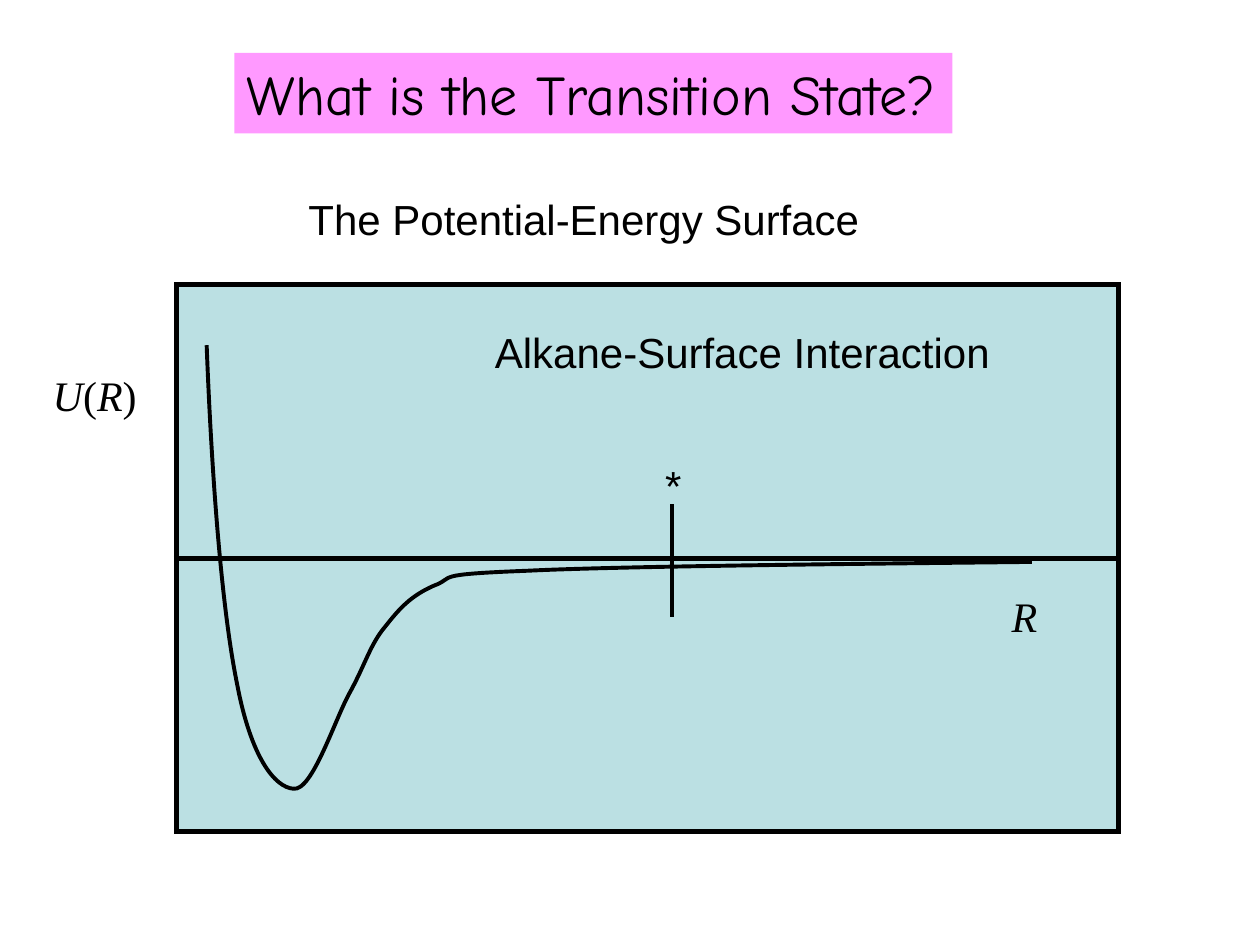
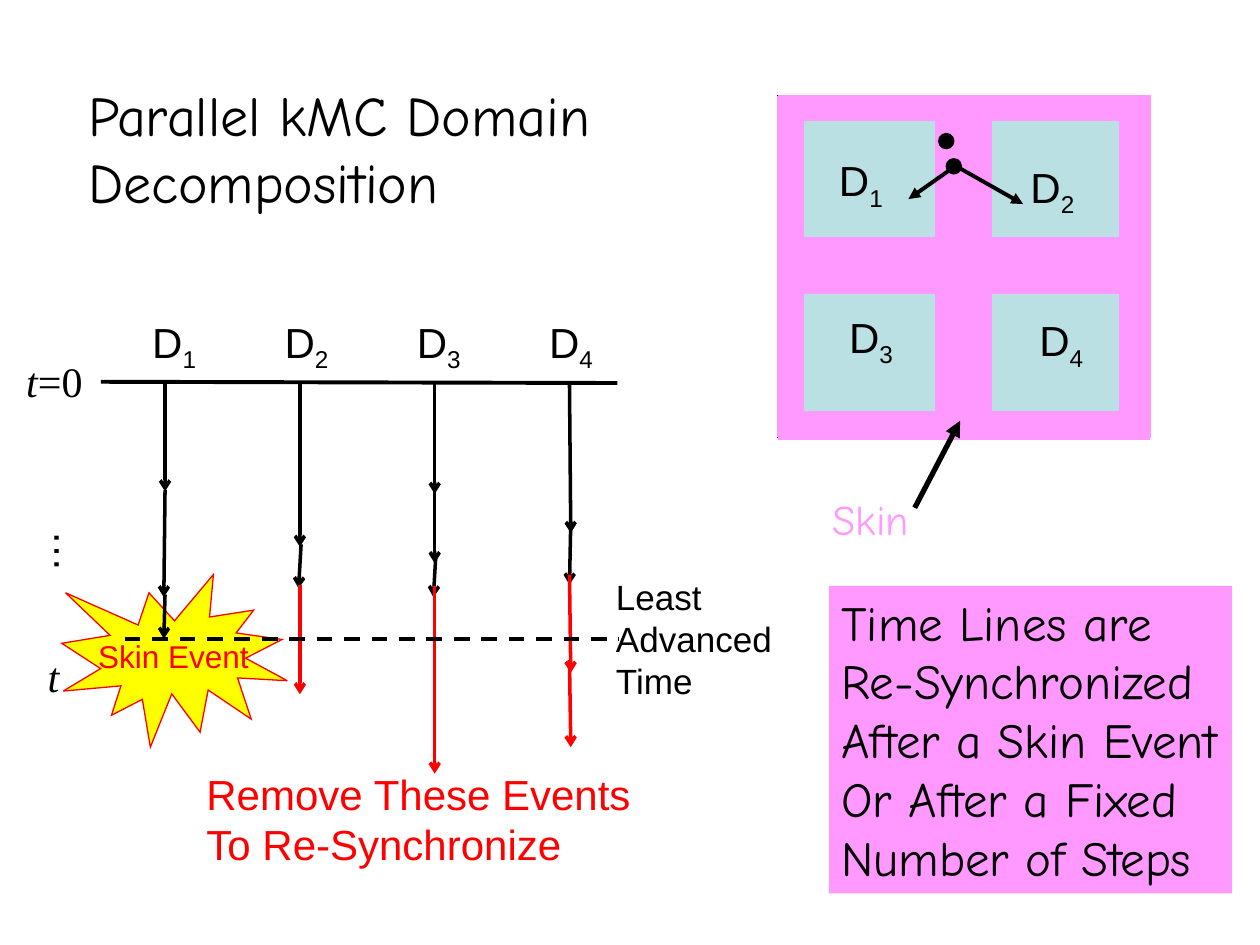
from dataclasses import dataclass
from typing import Optional

from lxml.etree import SubElement
from pptx import Presentation
from pptx.dml.color import RGBColor
from pptx.enum.dml import MSO_LINE_DASH_STYLE as Dash
from pptx.enum.shapes import MSO_CONNECTOR, MSO_SHAPE
from pptx.enum.text import MSO_AUTO_SIZE
from pptx.oxml.ns import qn
from pptx.slide import Slide
from pptx.util import Emu, Pt

PX = 9144
COLORS = {
    "black": "000000",
    "red": "FF0000",
    "yellow": "FFFF00",
    "pink": "FF99FF",
    "teal": "BBE0E3",
}
SANS, COMIC, SERIF = "Arial", "Comic Neue", "Times New Roman"


@dataclass(frozen=True)
class Run:
    """A piece of text with its own slant and baseline."""
    text: str
    italic: bool = False
    subscript: bool = False


@dataclass(frozen=True)
class Label:
    """A text box with one tuple of runs per paragraph."""
    box: tuple[int, int, int, int]
    lines: list[tuple[Run, ...]]
    size: int = 24
    font: str = SANS
    color: str = "black"
    fill: Optional[str] = None
    rotation: int = 0


@dataclass(frozen=True)
class Block:
    """A filled preset shape."""
    box: tuple[int, int, int, int]
    fill: str
    line: str
    width: float = 0.75
    preset: MSO_SHAPE = MSO_SHAPE.RECTANGLE


@dataclass(frozen=True)
class Stroke:
    """A straight line with an optional arrowhead."""
    ends: tuple[int, int, int, int]
    width: float = 2
    color: str = "black"
    head: Optional[str] = None
    dashed: bool = False


def px(value: int) -> Emu:
    """Turn px into EMU."""
    return Emu(value * PX)


def color_of(name: str) -> RGBColor:
    """Look up a named colour."""
    return RGBColor.from_string(COLORS[name])


def plain(*texts: str) -> list[tuple[Run, ...]]:
    """Make one upright paragraph per text."""
    return [(Run(text),) for text in texts]


def domain_label(left: int, top: int, number: int) -> Label:
    """Describe the label of a numbered domain."""
    return Label((left, top, 55, 56), [(Run("D"), Run(str(number), subscript=True))])


def draw_label(slide: Slide, label: Label) -> None:
    """Draw a text box run by run."""
    shape = slide.shapes.add_textbox(*map(px, label.box))
    shape.rotation = label.rotation
    if label.fill:
        shape.fill.solid()
        shape.fill.fore_color.rgb = color_of(label.fill)
    frame = shape.text_frame
    frame.word_wrap = False
    frame.auto_size = MSO_AUTO_SIZE.SHAPE_TO_FIT_TEXT
    for index, line in enumerate(label.lines):
        paragraph = frame.add_paragraph() if index else frame.paragraphs[0]
        for part in line:
            run = paragraph.add_run()
            run.text = part.text
            run.font.name = label.font
            run.font.size = Pt(label.size)
            run.font.italic = part.italic
            run.font.color.rgb = color_of(label.color)
            if part.subscript:
                run._r.get_or_add_rPr().set("baseline", "-25000")


def draw_block(slide: Slide, block: Block) -> None:
    """Draw a filled shape with a sharp-cornered outline."""
    shape = slide.shapes.add_shape(block.preset, *map(px, block.box))
    shape.shadow.inherit = False
    shape.fill.solid()
    shape.fill.fore_color.rgb = color_of(block.fill)
    shape.line.color.rgb = color_of(block.line)
    shape.line.width = Pt(block.width)
    SubElement(shape._element.spPr.find(qn("a:ln")), qn("a:miter"), lim="800000")


def draw_stroke(slide: Slide, stroke: Stroke) -> None:
    """Draw a connector."""
    connector = slide.shapes.add_connector(MSO_CONNECTOR.STRAIGHT, *map(px, stroke.ends))
    connector.line.color.rgb = color_of(stroke.color)
    connector.line.width = Pt(stroke.width)
    if stroke.dashed:
        connector.line.dash_style = Dash.DASH
    properties = connector._element.spPr
    if stroke.head:
        SubElement(properties.find(qn("a:ln")), qn("a:tailEnd"), type=stroke.head)
    SubElement(properties, qn("a:effectLst"))


def draw_curve(slide: Slide, knots: list[tuple[int, int]], width: float) -> None:
    """Draw a chain of cubic segments: a start, then two controls and an end each."""
    start, *rest = knots
    builder = slide.shapes.build_freeform(*start, scale=PX)
    builder.add_line_segments(rest, close=False)
    shape = builder.convert_to_shape()
    shape.shadow.inherit = False
    shape.fill.background()
    shape.line.color.rgb = color_of("black")
    shape.line.width = Pt(width)
    outline = next(shape._element.iter(qn("a:path")))
    lines = outline.findall(qn("a:lnTo"))
    for first in range(0, len(lines), 3):
        cubic = SubElement(outline, qn("a:cubicBezTo"))
        for line in lines[first:first + 3]:
            cubic.append(line[0])
            outline.remove(line)


def draw_all(slide: Slide, items: list) -> None:
    """Draw described elements from back to front."""
    painters = {Label: draw_label, Block: draw_block, Stroke: draw_stroke}
    for item in items:
        painters[type(item)](slide, item)


def build_transition_state(slide: Slide) -> None:
    """Build the potential-energy slide."""
    draw_block(slide, Block((140, 226, 748, 434), "teal", "black", 3))
    draw_curve(slide, [
        (164, 274), (168, 379), (176, 483), (188, 542),
        (199, 601), (218, 625), (233, 626),
        (248, 628), (266, 570), (278, 549),
        (290, 527), (294, 511), (306, 497),
        (317, 483), (326, 473), (344, 465),
        (363, 458), (340, 456), (419, 453),
        (499, 449), (736, 447), (819, 446),
    ], 2.25)
    energy = (Run("U", italic=True), Run("("), Run("R", italic=True), Run(")"))
    draw_all(slide, [
        Stroke((533, 400, 533, 490), 2.25),
        Label((518, 360, 33, 50), plain("*")),
        Label((186, 42, 570, 64), plain("What is the Transition State?"), 32, COMIC, fill="pink"),
        Stroke((138, 443, 890, 443), 3),
        Label((32, 288, 88, 50), [energy], font=SERIF),
        Label((793, 464, 40, 50), [(Run("R", italic=True),)], font=SERIF),
        Label((383, 254, 414, 50), plain("Alkane-Surface Interaction")),
        Label((235, 149, 457, 50), plain("The Potential-Energy Surface")),
    ])


def timeline_strokes(events: list[list[tuple[int, int, int, int]]], color: str) -> list[Stroke]:
    """Place each domain's event arrows on its evenly spaced time line."""
    strokes = []
    for column, arrows in enumerate(events):
        x = 131 + 107 * column
        for start, top, end, bottom in arrows:
            strokes.append(Stroke((x + start, top, x + end, bottom), 2, color, "arrow"))
    return strokes


def draw_timelines(slide: Slide) -> None:
    """Draw the time lines of the four domains."""
    kept_events = [
        [(0, 305, 0, 390), (0, 389, -1, 474), (0, 472, -1, 507)],
        [(0, 305, 0, 434), (1, 432, -1, 467)],
        [(0, 305, 0, 392), (0, 380, 0, 447), (1, 439, -1, 474)],
        [(0, 305, 1, 423), (1, 414, 0, 464)],
    ]
    removed_events = [
        [],
        [(0, 464, 0, 551)],
        [(0, 465, 0, 614)],
        [(0, 456, 1, 534), (0, 524, 1, 593)],
    ]
    draw_all(slide, [
        *timeline_strokes(kept_events, "black"),
        *(domain_label(111 + 105 * index, 246, index + 1) for index in range(4)),
        *timeline_strokes(removed_events, "red"),
        Stroke((80, 303, 490, 304), 2.25),
        Label((11, 277, 66, 50), [(Run("t", italic=True), Run("=0"))], font=SERIF),
        Label((7, 413, 53, 50), plain("…"), rotation=270),
        Label((28, 511, 30, 50), [(Run("t", italic=True),)], font=SERIF),
        Label((68, 501, 142, 40), plain("Skin Event"), 18, color="red"),
        Stroke((99, 507, 491, 507), 2.25, dashed=True),
        Label((154, 605, 357, 90), plain("Remove These Events", "To Re-Synchronize"), color="red"),
        Label((479, 452, 145, 110), plain("Least", "Advanced", "Time"), 20),
    ])


def draw_domain_map(slide: Slide) -> None:
    """Draw the four domains and the skin between them."""
    tiles = [(617 + 148 * column, 76 + 135 * row, 148, 136) for row in (0, 1) for column in (0, 1)]
    label_places = [(656, 118), (808, 123), (664, 242), (815, 245)]
    skin_bands = [
        (743, 77, 44, 269), (617, 189, 296, 44), (618, 76, 294, 20),
        (618, 327, 294, 22), (617, 77, 21, 269), (889, 76, 24, 271),
    ]
    atoms = [(745, 106, 12, 12), (751, 126, 12, 12)]
    draw_all(slide, [
        *(Block(box, "teal", "black") for box in tiles),
        *(domain_label(*place, number) for number, place in enumerate(label_places, 1)),
        *(Block(box, "pink", "pink") for box in skin_bands),
        *(Block(box, "black", "black", preset=MSO_SHAPE.OVAL) for box in atoms),
        Label((651, 387, 83, 50), plain("Skin"), font=COMIC, color="pink"),
        Stroke((726, 403, 762, 334), 3, head="triangle"),
        Stroke((758, 132, 721, 158), 2.25, head="triangle"),
        Stroke((759, 132, 812, 162), 2.25, head="triangle"),
    ])


def build_domain_decomposition(slide: Slide) -> None:
    """Build the parallel decomposition slide."""
    summary = plain("Time Lines are", "Re-Synchronized", "After a Skin Event",
                    "Or After a Fixed", "Number of Steps")
    draw_all(slide, [
        Block((49, 456, 179, 137), "yellow", "red", preset=MSO_SHAPE.EXPLOSION1),
        Label((60, 59, 422, 117), plain("Parallel kMC Domain", "Decomposition"), 32, COMIC),
        Label((658, 465, 320, 244), summary, 28, COMIC, fill="pink"),
    ])
    draw_timelines(slide)
    draw_domain_map(slide)


def main() -> None:
    """Build and save the presentation."""
    presentation = Presentation()
    presentation.slide_width, presentation.slide_height = px(1000), px(750)
    for build in (build_transition_state, build_domain_decomposition):
        build(presentation.slides.add_slide(presentation.slide_layouts[6]))
    presentation.save("out.pptx")


if __name__ == "__main__":
    main()
